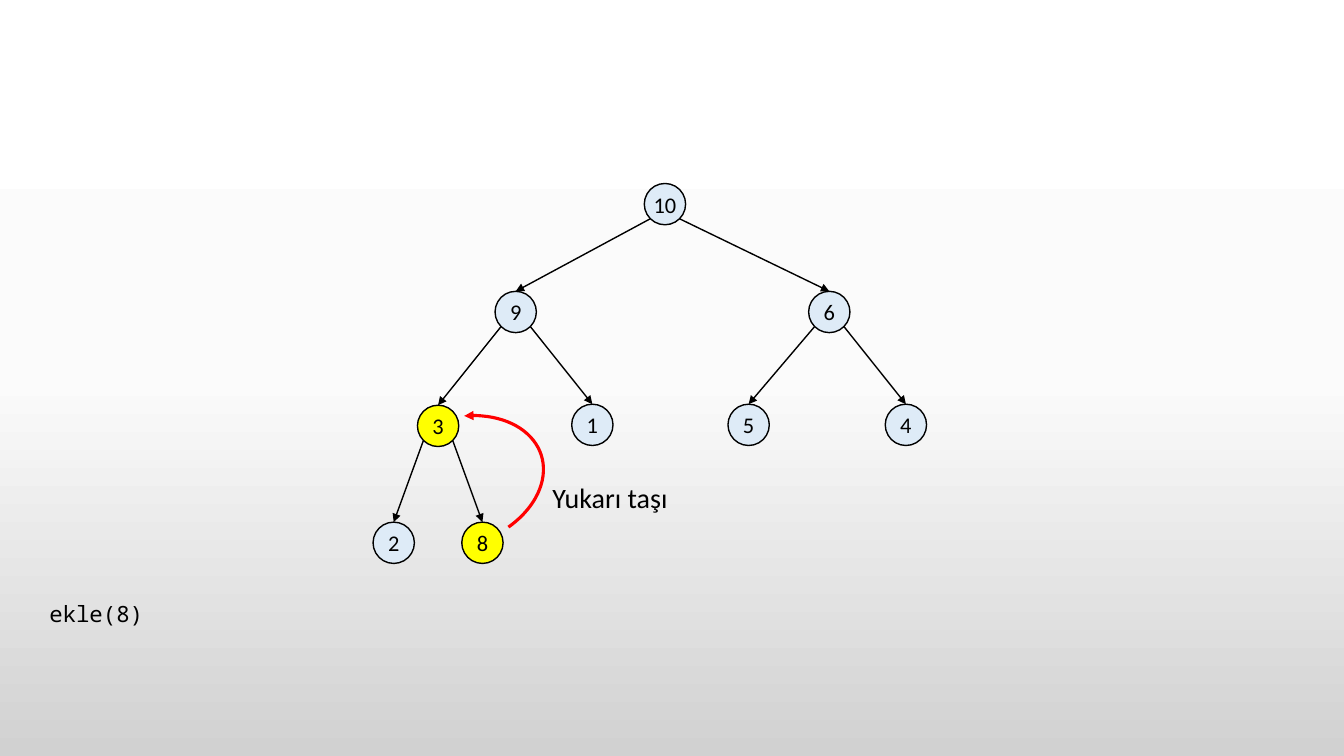
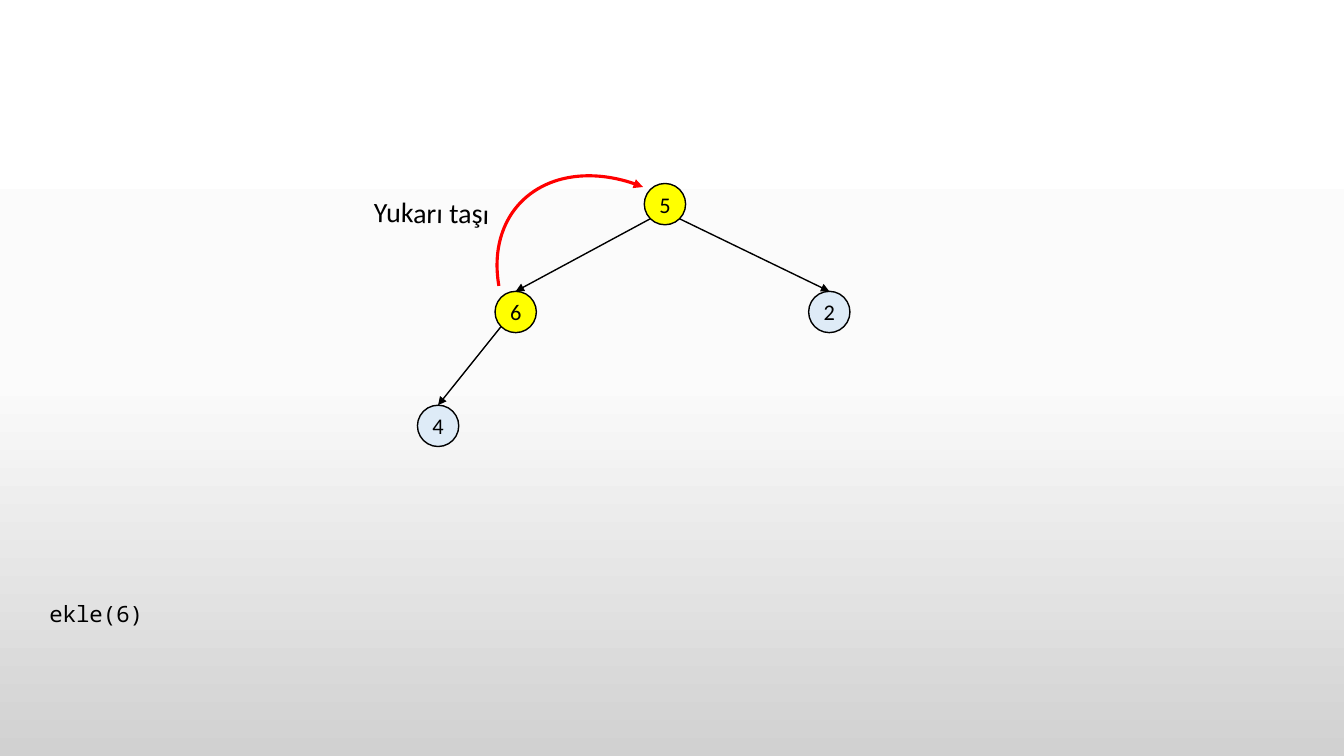
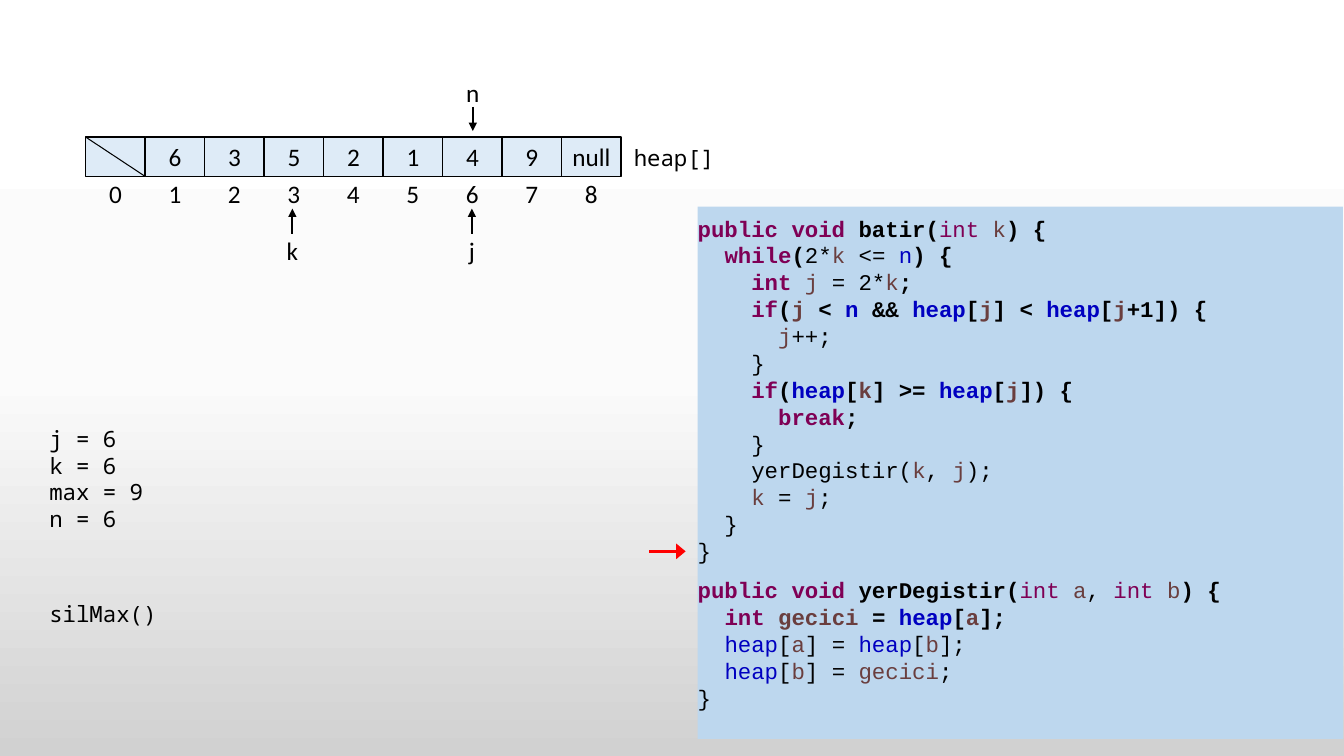
"""Heap insertion and removal slides."""
from dataclasses import dataclass
from itertools import groupby

from lxml import etree
from pptx import Presentation
from pptx.dml.color import RGBColor
from pptx.enum.shapes import MSO_CONNECTOR, MSO_SHAPE
from pptx.enum.text import MSO_ANCHOR, MSO_AUTO_SIZE, PP_ALIGN
from pptx.oxml.ns import qn
from pptx.util import Pt

STRAIGHT = MSO_CONNECTOR.STRAIGHT
ELLIPSE, RECTANGLE, ARC = MSO_SHAPE.OVAL, MSO_SHAPE.RECTANGLE, MSO_SHAPE.ARC
TOP, MIDDLE, BOTTOM = MSO_ANCHOR.TOP, MSO_ANCHOR.MIDDLE, MSO_ANCHOR.BOTTOM
LEFT, CENTER = PP_ALIGN.LEFT, PP_ALIGN.CENTER
GROW, FIXED = MSO_AUTO_SIZE.SHAPE_TO_FIT_TEXT, MSO_AUTO_SIZE.NONE

EMU_PER_PX = 9144
SLIDE_SIZE = (1333, 750)
BODY, MONO, CODE = "Calibri", "Noto Sans Mono", "Courier New"
BLACK, RED, YELLOW = "000000", "FF0000", "FFFF00"
PALE_BLUE, CODE_BLUE = "DEEBF7", "BDD7EE"
BACKGROUND = ((0, "FFFFFF"), (50, "FBFBFB"), (100, "D1D1D1"))

NODE = 41
NODE_PLACES = ((639, 182), (491, 289), (802, 289), (414, 402), (567, 401),
               (722, 401), (878, 401), (370, 518), (458, 518))
CELL_LEFT, CELL_TOP, CELL_W, CELL_H = 85, 136, 59, 39
CELLS = ("", "6", "3", "5", "2", "1", "4", "9", "null")

TOKEN_COLORS = {
    **dict.fromkeys(("public", "void", "int", "while", "if", "break"), "7F0055"),
    **dict.fromkeys(("k", "j", "a", "b", "gecici"), "6A3E3E"),
    **dict.fromkeys(("n", "heap"), "0000C0"),
}
BOLD_MARK = "|"
METHODS = """|public void batir(|int k|) {|
  |while(|2*k <= n|) {|
    |int| j = 2*k|;|
    |if(j < n && heap[j] < heap[j+1]) {|
      j++;
    }
    |if(heap[k] >= heap[j]) {|
      |break;|
    }
    yerDegistir(k, j);
    k = j;
  }
}

|public void yerDegistir(|int a, int b|) {|
  |int gecici = heap[a];|
  heap[a] = heap[b];
  heap[b] = gecici;
}"""


@dataclass(frozen=True)
class MoveUp:
    """The curved arrow and its caption."""
    box: tuple[int, int, int, int]
    rotation: float
    flipped: bool
    angles: tuple[float, float]
    caption_at: tuple[int, int]
    caption_rotation: float = 0


@dataclass(frozen=True)
class Insertion:
    """One step of an insertion into a heap."""
    command: str
    values: tuple[int, ...]
    swapped: tuple[int, ...]
    move: MoveUp


@dataclass(frozen=True)
class Pointer:
    """A named index pointing at an array cell."""
    name: str
    label_box: tuple[int, int, int, int]
    start: tuple[int, int]
    end: tuple[int, int]


INSERTIONS = (
    Insertion("ekle(8)", (10, 9, 6, 3, 1, 5, 4, 2, 8), (3, 8),
              MoveUp((389, 390, 127, 177), 72.2, True, (211.54, 335.39), (538, 472))),
    Insertion("ekle(6)", (5, 6, 2, 4), (5, 6),
              MoveUp((514, 156, 212, 284), 312.3, False, (234.23, 326.7), (361, 189), 1)),
)
POINTERS = (
    Pointer("n", (452, 72, 34, 40), (469, 106), (469, 130)),
    Pointer("k", (274, 229, 32, 40), (290, 232), (290, 207)),
    Pointer("j", (455, 229, 26, 40), (468, 232), (468, 207)),
)


def px(*lengths: float) -> list[int]:
    """Turn pixel lengths into EMU."""
    return [round(length * EMU_PER_PX) for length in lengths]


def rgb(color: str) -> RGBColor:
    """Turn a hex string into a colour."""
    return RGBColor.from_string(color)


def code_runs(line: str) -> list[tuple[str, str, bool]]:
    """Split marked code into text, colour and weight."""
    return [(token, TOKEN_COLORS.get(token, BLACK), index % 2 == 1)
            for index, part in enumerate(line.split(BOLD_MARK))
            for token in ("".join(group) for _, group in groupby(part, str.isalnum))]


def write(frame, text: str, *, font: str = BODY, size: int = 16, align=LEFT, anchor=TOP,
          margins: tuple[int, int] = (10, 5), wrap: bool = False, fit=FIXED,
          is_code: bool = False, block_gap: int = 9) -> None:
    """Fill a text frame; an empty line in text separates blocks."""
    frame.word_wrap, frame.auto_size, frame.vertical_anchor = wrap, fit, anchor
    frame.margin_left, frame.margin_top = px(*margins)
    frame.margin_right, frame.margin_bottom = px(*margins)
    lines = [(line, index > 0 and first == 0)
             for index, block in enumerate(text.split("\n\n"))
             for first, line in enumerate(block.split("\n"))]
    for number, (line, starts_block) in enumerate(lines):
        paragraph = frame.add_paragraph() if number else frame.paragraphs[0]
        paragraph.alignment = align
        if starts_block:
            paragraph.space_before = Pt(block_gap)
        for words, color, bold in code_runs(line) if is_code else [(line, BLACK, False)]:
            run = paragraph.add_run()
            run.text = words
            run.font.name, run.font.size, run.font.bold = font, Pt(size), bold
            run.font.color.rgb = rgb(color)


def add_label(slide, text: str, box: tuple[int, int, int, int], rotation: float = 0,
              **text_format) -> None:
    """Add a text box that fits its text."""
    label = slide.shapes.add_textbox(*px(*box))
    label.rotation = rotation
    write(label.text_frame, text, fit=GROW, **text_format)


def add_filled(slide, kind, box: tuple[int, int, int, int], fill: str, outlined: bool = True):
    """Add a filled preset shape."""
    shape = slide.shapes.add_shape(kind, *px(*box))
    shape.shadow.inherit = False
    shape.fill.solid()
    shape.fill.fore_color.rgb = rgb(fill)
    if outlined:
        style_line(shape, BLACK, 1)
    else:
        shape.line.fill.background()
    return shape


def style_line(shape, color: str, width: float, head: str = "") -> None:
    """Set a line's colour, width and arrowhead size."""
    shape.line.color.rgb = rgb(color)
    shape.line.width = Pt(width)
    if head:
        outline = shape.element.spPr.find(qn("a:ln"))
        etree.SubElement(outline, qn("a:tailEnd"), type="triangle", w=head)


def add_line(slide, start: tuple[float, float], end: tuple[float, float], color: str = BLACK,
             width: float = 1.5, head: str = "med"):
    """Add a straight connector."""
    line = slide.shapes.add_connector(STRAIGHT, *px(*start, *end))
    style_line(line, color, width, head)
    etree.SubElement(line.element.spPr, qn("a:effectLst"))
    return line


def add_tree(slide, values: tuple[int, ...], swapped: tuple[int, ...]) -> None:
    """Draw a heap as a binary tree."""
    diagonal = NODE / 2 * 0.71
    for index, (value, (left, top)) in enumerate(zip(values, NODE_PLACES)):
        fill = YELLOW if value in swapped else PALE_BLUE
        node = add_filled(slide, ELLIPSE, (left, top, NODE, NODE), fill)
        write(node.text_frame, str(value), align=CENTER, anchor=MIDDLE, margins=(0, 0), wrap=True)
        if index:
            parent_left, parent_top = NODE_PLACES[(index - 1) // 2]
            side = -1 if index % 2 else 1
            start = (parent_left + NODE / 2 + side * diagonal, parent_top + NODE / 2 + diagonal)
            edge = add_line(slide, start, (left + NODE / 2, top), width=1)
            edge.end_connect(node, 0)


def add_move(slide, move: MoveUp) -> None:
    """Draw the curved arrow with its caption."""
    curve = slide.shapes.add_shape(ARC, *px(*move.box))
    curve.shadow.inherit = False
    curve.fill.background()
    curve.rotation = move.rotation
    if move.flipped:
        curve.element.spPr.find(qn("a:xfrm")).set("flipH", "1")
    for index, angle in enumerate(move.angles):
        curve.adjustments[index] = angle * 0.6
    style_line(curve, RED, 2.25, "med")
    add_label(slide, "Yukarı taşı", (*move.caption_at, 136, 44), move.caption_rotation, size=20)


def add_command(slide, command: str, width: int = 115) -> None:
    """Write the call being carried out."""
    add_label(slide, command, (39, 590, width, 37), font=MONO, anchor=BOTTOM)


def add_array(slide) -> None:
    """Draw the heap array with its indices and pointers."""
    for index, value in enumerate(CELLS):
        left = CELL_LEFT + index * CELL_W
        cell = add_filled(slide, RECTANGLE, (left, CELL_TOP, CELL_W, CELL_H), PALE_BLUE)
        if value:
            write(cell.text_frame, value, size=18, align=CENTER, anchor=MIDDLE)
        add_label(slide, str(index), (left + 13, 172, 33, 40), size=18, align=CENTER)
    add_line(slide, (CELL_LEFT, CELL_TOP), (CELL_LEFT + CELL_W, CELL_TOP + CELL_H),
             width=0.75, head="")
    add_label(slide, "heap[]", (618, 138, 101, 37), font=MONO, align=CENTER)
    for pointer in POINTERS:
        add_label(slide, pointer.name, pointer.label_box, size=18, align=CENTER)
        add_line(slide, pointer.start, pointer.end)


def add_methods(slide) -> None:
    """Show the code and mark the current line."""
    panel = add_filled(slide, RECTANGLE, (692, 205, 640, 528), CODE_BLUE, outlined=False)
    write(panel.text_frame, METHODS, font=CODE, margins=(0, 8), wrap=True, is_code=True)
    add_line(slide, (644, 547), (680, 547), RED, 2.25, "lg")


def set_background(master) -> None:
    """Give the master its vertical gradient."""
    fill = master.background.fill
    fill.gradient()
    fill.gradient_angle = 270
    stops = next(master.element.iter(qn("a:gsLst")))
    for stop in list(stops):
        stops.remove(stop)
    for percent, color in BACKGROUND:
        stop = etree.SubElement(stops, qn("a:gs"), pos=str(percent * 1000))
        etree.SubElement(stop, qn("a:srgbClr"), val=color)


def main() -> None:
    """Build and save the slides."""
    deck = Presentation()
    deck.slide_width, deck.slide_height = px(*SLIDE_SIZE)
    set_background(deck.slide_master)
    blank = deck.slide_layouts[6]
    for insertion in INSERTIONS:
        slide = deck.slides.add_slide(blank)
        add_tree(slide, insertion.values, insertion.swapped)
        add_command(slide, insertion.command)
        add_move(slide, insertion.move)
    removal = deck.slides.add_slide(blank)
    add_command(removal, "silMax()", 128)
    add_label(removal, "j = 6\nk = 6\nmax = 9\nn = 6", (39, 415, 115, 118),
              font=MONO, anchor=BOTTOM)
    add_array(removal)
    add_methods(removal)
    deck.save("out.pptx")


if __name__ == "__main__":
    main()
